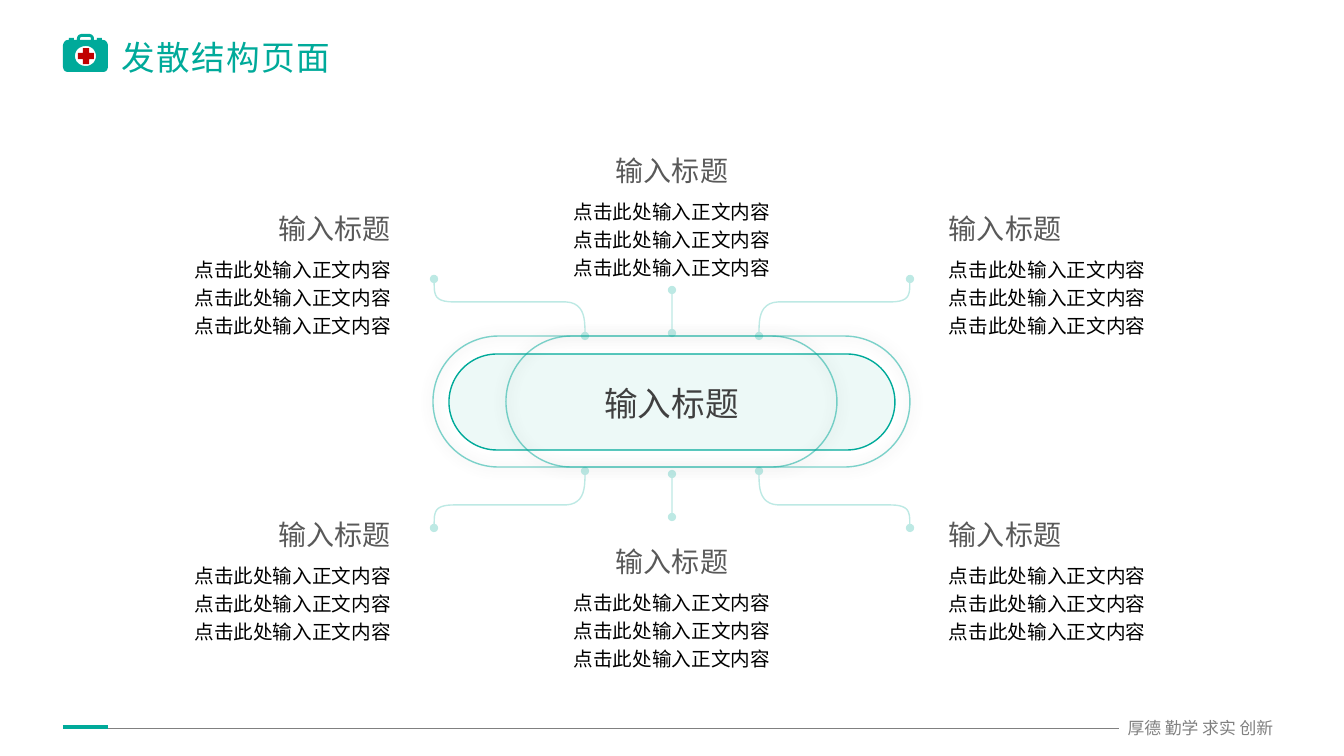
from lxml import etree
from pptx import Presentation
from pptx import util as u
from pptx.dml.color import RGBColor
from pptx.enum import shapes, text
from pptx.oxml import ns

PX = 914400 / 100.8
WIDTH, HEIGHT = 1344, 756
FONT = "Noto Sans CJK JP"

TEAL = RGBColor(0x00, 0xAA, 0x9A)
RED = RGBColor(0xC0, 0x00, 0x00)
BLACK = RGBColor(0x00, 0x00, 0x00)
DARK = RGBColor(0x40, 0x40, 0x40)
HEADING = RGBColor(0x59, 0x59, 0x59)
GRAY = RGBColor(0x80, 0x80, 0x80)

LEFT, CENTER, RIGHT = text.PP_ALIGN.LEFT, text.PP_ALIGN.CENTER, text.PP_ALIGN.RIGHT

# Contours in px: a pair is a corner, six numbers are a Bezier curve
CASE = [
    [(82, 34), (89, 34), (92, 34, 94, 36, 94, 39), (94, 40), (97, 40), (97, 38),
     (102, 38), (102, 40), (103, 40), (106, 40, 108, 43, 108, 46), (108, 66),
     (108, 70, 106, 72, 103, 72), (68, 72), (65, 72, 63, 70, 63, 66), (63, 46),
     (63, 43, 65, 40, 68, 40), (69, 40), (69, 38), (74, 38), (74, 40), (77, 40),
     (77, 39), (77, 36, 79, 34, 82, 34)],
    [(82, 37), (80, 37, 80, 38, 80, 40), (91, 40), (91, 38, 91, 37, 89, 37)],
    [(86, 46), (80, 46, 75, 50, 75, 56), (75, 62, 80, 66, 86, 66),
     (91, 66, 96, 62, 96, 56), (96, 50, 91, 46, 86, 46)],
]
BRANCH = [(759, 336), (759, 322, 758, 303, 778, 302), (890, 302),
          (913, 302, 909, 292, 910, 279)]
STEM = [(672, 290), (672, 333)]
MIRROR_Y = 807  # sum of an upper and its lower mirrored y

# Left, top and alignment of each text block
BLOCKS = [(123, 206, RIGHT), (123, 512, RIGHT), (949, 206, LEFT),
          (949, 512, LEFT), (538, 539, CENTER), (538, 148, CENTER)]


def px(*values):
    return [u.Emu(round(value * PX)) for value in values]


def add_xml(parent, tag, **attributes):
    return etree.SubElement(parent, ns.qn(tag),
                            {key: str(value) for key, value in attributes.items()})


def set_alpha(fill, percent):
    color = fill._xPr.find(".//" + ns.qn("a:srgbClr"))
    add_xml(color, "a:alpha", val=percent * 1000)


def style_line(shape, color, width, alpha=100, dots=False):
    shape.line.color.rgb = color
    shape.line.width = u.Pt(width)
    if alpha < 100:
        set_alpha(shape.line.fill, alpha)
    if dots:
        line = shape.line._get_or_add_ln()
        for tag in ("a:headEnd", "a:tailEnd"):
            add_xml(line, tag, type="oval")


def add_text(parent, box, lines, size, color, align=LEFT, spacing=None,
             letter=0, insets=(0, 5), frame_format=None):
    shape = parent.add_textbox(*px(*box))
    frame = shape.text_frame
    side, edge = px(*insets)
    values = {"word_wrap": True, "margin_left": side, "margin_right": side,
              "margin_top": edge, "margin_bottom": edge, **(frame_format or {})}
    for name, value in values.items():
        setattr(frame, name, value)
    for index, line in enumerate(lines):
        paragraph = frame.add_paragraph() if index else frame.paragraphs[0]
        paragraph.alignment = align
        paragraph.line_spacing = spacing
        run = paragraph.add_run()
        run.text = line
        for name, value in {"size": u.Pt(size), "name": FONT}.items():
            setattr(run.font, name, value)
        run.font.color.rgb = color
        properties = run._r.get_or_add_rPr()
        add_xml(properties, "a:ea", typeface=FONT)
        if letter:
            properties.set("spc", str(letter * 100))


def add_line(slide, start, end, color, width, **line_format):
    line = slide.shapes.add_connector(shapes.MSO_CONNECTOR.STRAIGHT,
                                      *px(*start, *end))
    style_line(line, color, width, **line_format)
    add_xml(line._element.spPr, "a:effectLst")


def flatten(contour, steps=12):
    points = [contour[0]]
    for item in contour[1:]:
        if len(item) == 2:
            points.append(item)
            continue
        start = points[-1]
        for step in range(1, steps + 1):
            t = step / steps
            points.append(tuple(
                (1 - t) ** 3 * start[axis] + 3 * (1 - t) ** 2 * t * item[axis]
                + 3 * (1 - t) * t ** 2 * item[axis + 2] + t ** 3 * item[axis + 4]
                for axis in (0, 1)))
    return points


def add_outline(slide, contours, close):
    builder = None
    for contour in contours:
        # Tenths of a px keep the curves smooth
        points = [(x * 10, y * 10) for x, y in flatten(contour)]
        if builder is None:
            builder = slide.shapes.build_freeform(*points[0], scale=PX / 10)
        else:
            builder.move_to(*points[0])
        builder.add_line_segments(points[1:], close=close)
    shape = builder.convert_to_shape()
    shape.shadow.inherit = False
    return shape


def add_capsule(slide, box):
    shape = slide.shapes.add_shape(shapes.MSO_SHAPE.ROUNDED_RECTANGLE, *px(*box))
    shape.adjustments[0] = 0.5
    shape.shadow.inherit = False
    shape.fill.background()
    return shape


def add_glow(shape):
    effects = shape._element.spPr.find(ns.qn("a:effectLst"))
    shadow = add_xml(effects, "a:outerShdw", blurRad=u.Pt(10), algn="ctr",
                     rotWithShape=0)
    color = add_xml(shadow, "a:srgbClr", val=BLACK)
    add_xml(color, "a:alpha", val=40000)


def mirror(contour, across, down):
    return [tuple((WIDTH - value if across else value) if index % 2 == 0
                  else (MIRROR_Y - value if down else value)
                  for index, value in enumerate(item)) for item in contour]


def add_kit_icon(slide):
    case = add_outline(slide, CASE, close=True)
    cross = slide.shapes.add_shape(shapes.MSO_SHAPE.CROSS, *px(78, 48, 16, 16))
    cross.adjustments[0] = 0.31
    cross.shadow.inherit = False
    for shape, color in ((case, TEAL), (cross, RED)):
        shape.fill.solid()
        shape.fill.fore_color.rgb = color
        shape.line.fill.background()


def add_block(slide, left, top, align):
    group = slide.shapes.add_group_shape().shapes
    add_text(group, (left, top, 268, 44), ["输入标题"], 20, HEADING, align)
    add_text(group, (left, top + 42, 268, 98), ["点击此处输入正文内容"] * 3, 14,
             BLACK, align, spacing=1.2)


def main():
    presentation = Presentation()
    presentation.slide_width, presentation.slide_height = px(WIDTH, HEIGHT)
    slide = presentation.slides.add_slide(presentation.slide_layouts[6])

    # Footer
    add_text(slide.shapes, (1118, 718, 165, 20), ["厚德 勤学 求实 创新"], 12,
             GRAY, CENTER, insets=(0, 0))
    add_line(slide, (63, 728), (1119, 728), GRAY, 0.5)
    add_line(slide, (63, 727), (108, 727), TEAL, 3)

    # Header
    add_kit_icon(slide)
    add_text(slide.shapes, (122, 32, 874, 51), ["发散结构页面"], 24, TEAL, letter=1,
             frame_format={"vertical_anchor": text.MSO_ANCHOR.MIDDLE})

    # Central capsules
    core = add_capsule(slide, (449, 354, 446, 96))
    core.fill.solid()
    core.fill.fore_color.rgb = TEAL
    set_alpha(core.fill, 7)
    style_line(core, TEAL, 1)
    add_text(slide.shapes, (563, 382, 217, 47), ["输入标题"], 24, DARK, CENTER,
             spacing=0.9, insets=(10, 5))
    for left in (433, 506):
        ring = add_capsule(slide, (left, 336, 404, 131))
        style_line(ring, TEAL, 1, alpha=50)
        add_glow(ring)

    # Branches above and below
    for down in (False, True):
        add_line(slide, *mirror(STEM, False, down), TEAL, 1, alpha=25, dots=True)
        for across in (False, True):
            branch = add_outline(slide, [mirror(BRANCH, across, down)], close=False)
            branch.fill.background()
            style_line(branch, TEAL, 1, alpha=25, dots=True)

    # Text blocks
    for block in BLOCKS:
        add_block(slide, *block)

    presentation.save("out.pptx")


if __name__ == "__main__":
    main()
